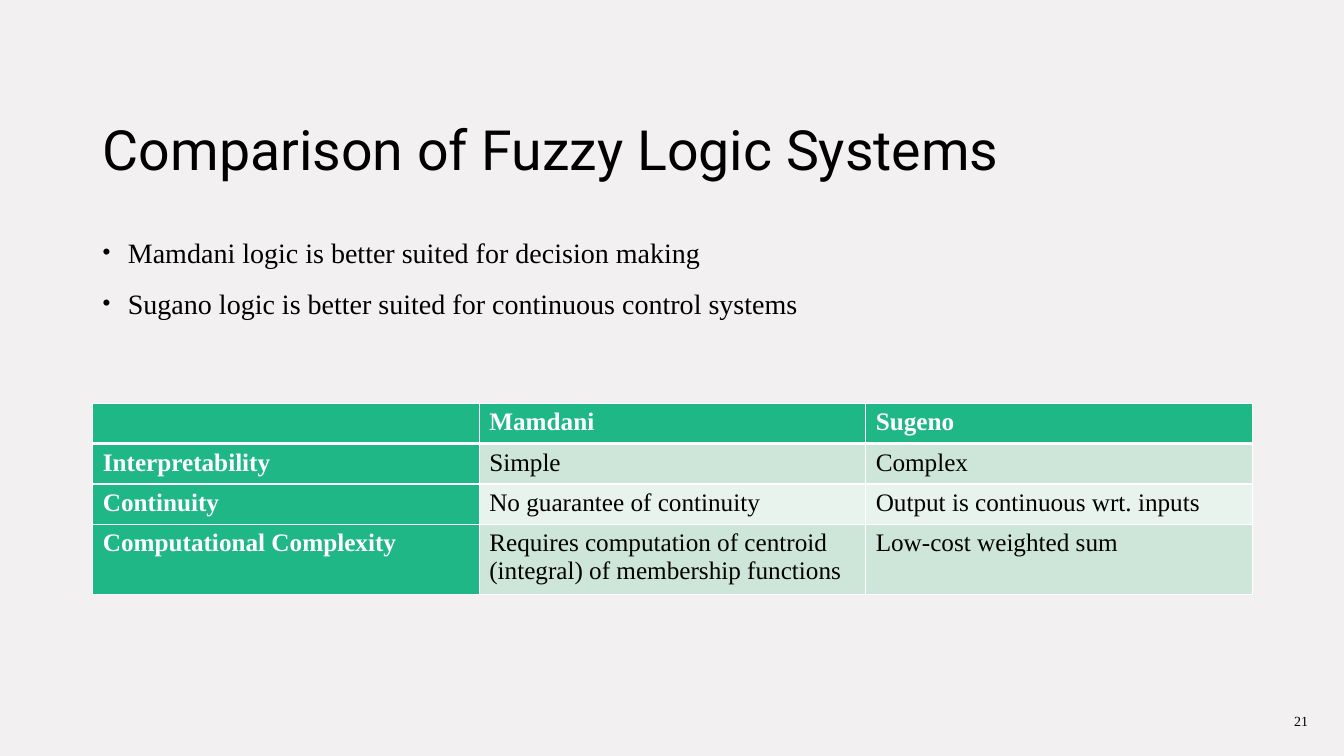
from lxml.etree import SubElement
from pptx import Presentation
from pptx.dml.color import RGBColor
from pptx.enum.text import MSO_ANCHOR, MSO_AUTO_SIZE, PP_ALIGN
from pptx.oxml.ns import qn
from pptx.util import Inches, Pt

TITLE = "Comparison of Fuzzy Logic Systems"
POINTS = [
    "Mamdani logic is better suited for decision making",
    "Sugano logic is better suited for continuous control systems",
]
COMPARISON = [
    ("", "Mamdani", "Sugeno"),
    ("Interpretability", "Simple", "Complex"),
    ("Continuity", "No guarantee of continuity", "Output is continuous wrt. inputs"),
    ("Computational Complexity",
     "Requires computation of centroid (integral) of membership functions",
     "Low-cost weighted sum"),
]
PAGE_NUMBER = "21"

SERIF = "Times New Roman"
BLACK, WHITE, PAPER = "000000", "FFFFFF", "F3F0F1"
GREEN, BANDS = "20B786", ("E8F3ED", "CDE6D9")
LEFT, WIDTH = 0.92, 11.5
ROW_HEIGHTS = (0.4, 0.4, 0.4, 0.66)


def rgb(color):
    return RGBColor.from_string(color)


def format_text(para, size, font=SERIF, color=BLACK, bold=False):
    for span in para.runs:
        span.font.size = Pt(size)
        span.font.name = font
        span.font.bold = bold
        span.font.color.rgb = rgb(color)


def add_text(page, left, top, width, height, lines, size):
    box = page.shapes.add_textbox(*map(Inches, (left, top, width, height)))
    frame = box.text_frame
    frame.word_wrap = True
    frame.text = "\n".join(lines)
    for para in frame.paragraphs:
        format_text(para, size)
    return frame


def add_bullet(para):
    props = para._p.get_or_add_pPr()
    props.set("marL", str(Inches(0.25)))
    props.set("indent", str(-Inches(0.25)))
    SubElement(props, qn("a:buSzPct"), val="80000")
    SubElement(props, qn("a:buFont"), typeface="Arial")
    SubElement(props, qn("a:buChar"), char="•")


def add_borders(cell, top=1, bottom=1):
    props = cell._tc.get_or_add_tcPr()
    for side, points in (("L", 1), ("R", 1), ("T", top), ("B", bottom)):
        line = SubElement(props, qn(f"a:ln{side}"), w=str(Pt(points)))
        SubElement(SubElement(line, qn("a:solidFill")), qn("a:srgbClr"), val=WHITE)


def add_title(page):
    title = page.shapes.title
    title.left, title.top = Inches(LEFT), Inches(0.64)
    title.width, title.height = Inches(WIDTH), Inches(1.22)
    frame = title.text_frame
    frame.text = TITLE
    frame.auto_size = MSO_AUTO_SIZE.NONE
    frame.vertical_anchor = MSO_ANCHOR.BOTTOM
    para = frame.paragraphs[0]
    para.alignment = PP_ALIGN.LEFT
    para.line_spacing = 0.9
    format_text(para, 39.6, "Roboto")


def add_comparison(page):
    table = page.shapes.add_table(
        len(COMPARISON), len(COMPARISON[0]), Inches(LEFT), Inches(4),
        Inches(WIDTH), Inches(sum(ROW_HEIGHTS))).table
    table.first_col = True
    for row, height in zip(table.rows, ROW_HEIGHTS):
        row.height = Inches(height)
    for r, texts in enumerate(COMPARISON):
        for c, text in enumerate(texts):
            cell = table.cell(r, c)
            heading = r == 0 or c == 0
            add_borders(cell, top=3 if r == 1 else 1, bottom=3 if r == 0 else 1)
            cell.fill.solid()
            cell.fill.fore_color.rgb = rgb(GREEN if heading else BANDS[r % 2])
            if text:
                cell.text = text
                format_text(cell.text_frame.paragraphs[0], 18,
                            color=WHITE if heading else BLACK, bold=heading)


def main():
    deck = Presentation()
    deck.slide_width, deck.slide_height = Inches(13.33), Inches(7.5)
    page = deck.slides.add_slide(deck.slide_layouts[5])
    page.background.fill.solid()
    page.background.fill.fore_color.rgb = rgb(PAPER)

    add_title(page)
    for para in add_text(page, LEFT, 2.25, WIDTH, 1.5, POINTS, 20).paragraphs:
        para.line_spacing = 1.1
        para.space_before = Pt(10)
        add_bullet(para)
    add_comparison(page)

    number = add_text(page, 12.59, 6.95, 0.63, 0.4, [PAGE_NUMBER], 10)
    number.vertical_anchor = MSO_ANCHOR.MIDDLE
    number.paragraphs[0].alignment = PP_ALIGN.CENTER
    deck.save("out.pptx")


if __name__ == "__main__":
    main()
